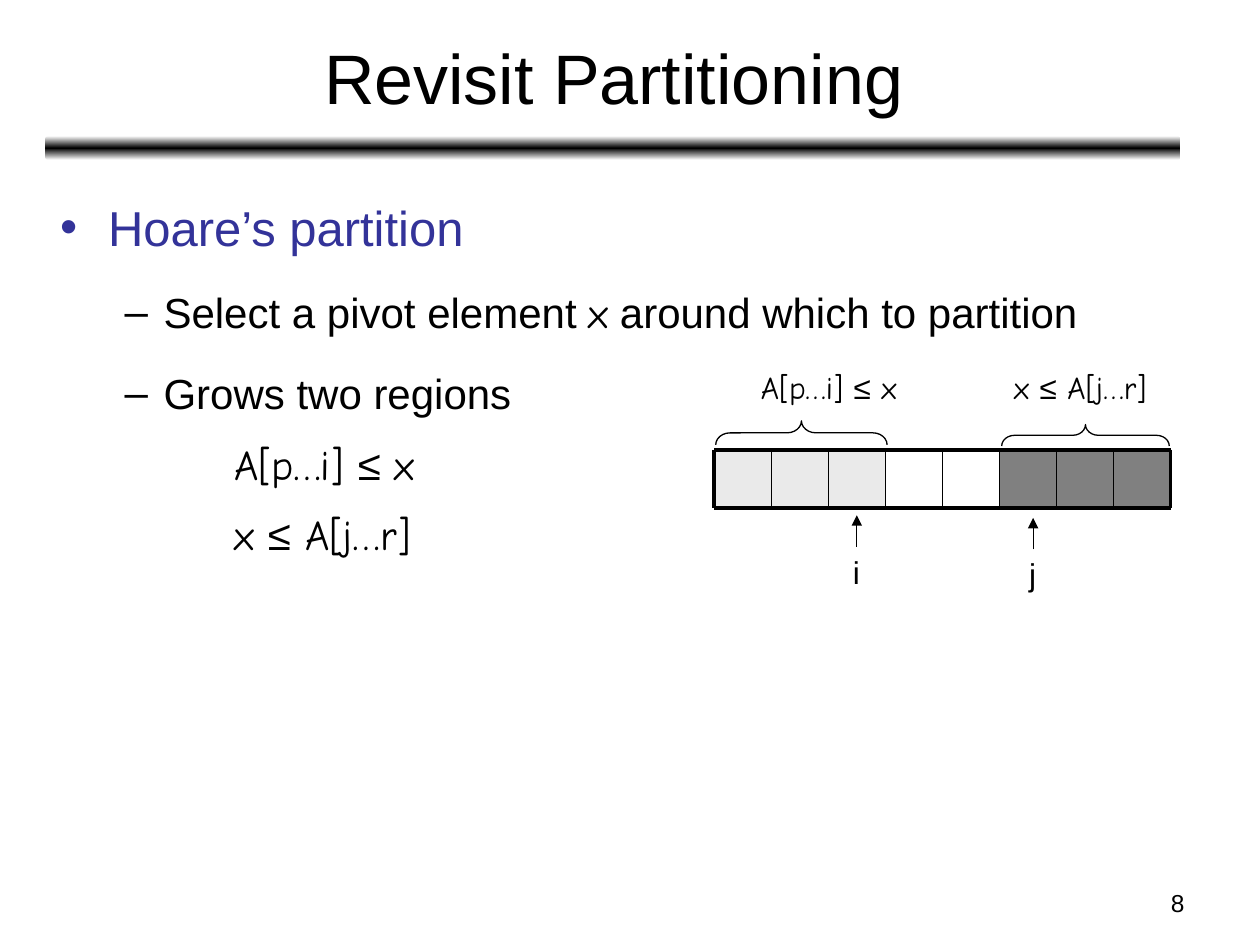
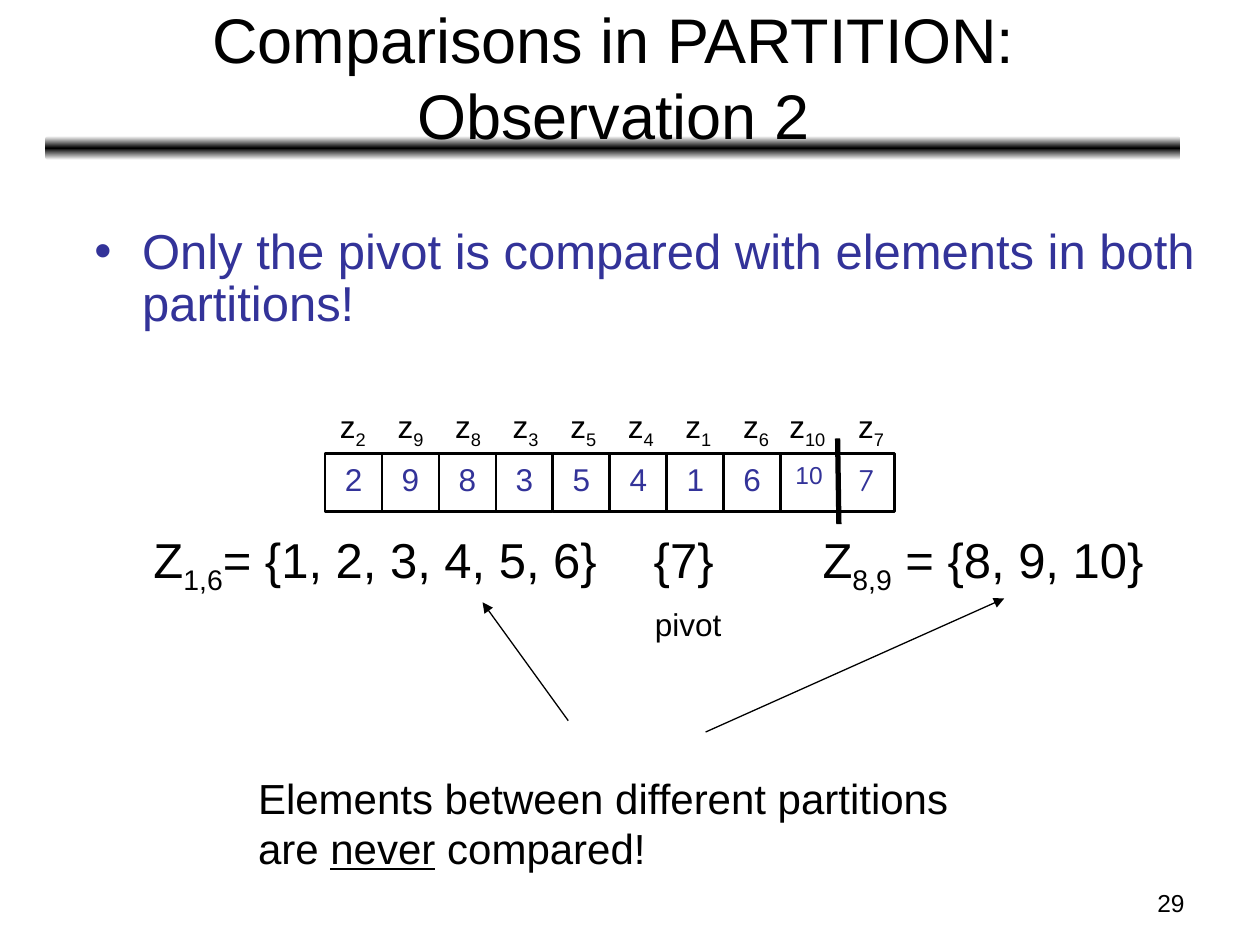
import copy

import pptx
import pptx.dml.color
import pptx.enum.shapes
import pptx.enum.text
import pptx.oxml
import pptx.oxml.ns
import pptx.util

Inches, Pt = pptx.util.Inches, pptx.util.Pt
SHAPE = pptx.enum.shapes.MSO_SHAPE
ALIGN = pptx.enum.text.PP_ALIGN
ANCHOR = pptx.enum.text.MSO_ANCHOR
FIT = pptx.enum.text.MSO_AUTO_SIZE
qn = pptx.oxml.ns.qn

COLORS = {"ink": "000000", "accent": "333399", "paper": "FFFFFF",
          "low": "EAEAEA", "high": "808080"}
SANS, HAND = "Arial", "Comic Neue"
LOW_RULE = [("A[p…i] ", {"name": HAND}), "≤", (" x", {"name": HAND})]
HIGH_RULE = [("x ", {"name": HAND}), "≤", (" A[j…r]", {"name": HAND})]


def rgb(name):
    return pptx.dml.color.RGBColor.from_string(COLORS[name])


def sub(text):
    return text, {"baseline": -25000}


def add_child(parent, tag, **attributes):
    child = parent.makeelement(qn(tag), attributes)
    parent.append(child)
    return child


def add_bullet(para, mark, color):
    properties = para._p.get_or_add_pPr()
    add_child(add_child(properties, "a:buClr"), "a:srgbClr", val=COLORS[color])
    add_child(properties, "a:buFont", typeface=SANS)
    add_child(properties, "a:buChar", char=mark)


def write_para(para, spans, size=18, color="ink", name=SANS, bullet=None,
               left=0, hanging=0, **layout):
    """Fill a paragraph; a span is a string or a (string, font values) pair."""
    properties = para._p.get_or_add_pPr()
    properties.set("marL", str(Inches(left)))
    properties.set("indent", str(Inches(-hanging)))
    if bullet:
        add_bullet(para, bullet, color)
    for key, value in layout.items():
        setattr(para, key, value)
    for item in [spans] if isinstance(spans, str) else spans:
        text, changes = (item, {}) if isinstance(item, str) else item
        values = {"size": Pt(size), "name": name, **changes}
        baseline = values.pop("baseline", None)
        span = para.add_run()
        span.text = text
        span.font.color.rgb = rgb(color)
        for key, value in values.items():
            setattr(span.font, key, value)
        if baseline:
            span._r.get_or_add_rPr().set("baseline", str(baseline))


def write_frame(frame, paras, **shared):
    """Fill a text frame from (spans, format values) pairs."""
    for number, (spans, values) in enumerate(paras):
        para = frame.paragraphs[0] if number == 0 else frame.add_paragraph()
        write_para(para, spans, **{**shared, **values})


def add_text(page, box, paras, anchor=ANCHOR.TOP, wrap=True, **shared):
    text_box = page.shapes.add_textbox(*map(Inches, box))
    frame = text_box.text_frame
    frame.word_wrap = wrap
    frame.vertical_anchor = anchor
    if not wrap:
        frame.auto_size = FIT.SHAPE_TO_FIT_TEXT
        frame.margin_right = 0
    write_frame(frame, paras, **shared)


def add_label(page, box, spans, **values):
    add_text(page, box, [(spans, {})], wrap=False, **values)


def add_shape(page, kind, box, fill=None, line=None):
    shape = page.shapes.add_shape(kind, *map(Inches, box))
    shape.shadow.inherit = False
    if fill:
        shape.fill.solid()
        shape.fill.fore_color.rgb = rgb(fill)
    else:
        shape.fill.background()
    if line:
        shape.line.color.rgb = rgb("ink")
        shape.line.width = Pt(line)
    else:
        shape.line.fill.background()
    return shape


def add_line(page, start, end, width=0.75, arrow=False):
    line = page.shapes.add_connector(
        pptx.enum.shapes.MSO_CONNECTOR.STRAIGHT, *map(Inches, (*start, *end)))
    line.line.color.rgb = rgb("ink")
    line.line.width = Pt(width)
    if arrow:
        add_child(line.line._get_or_add_ln(), "a:tailEnd", type="triangle")
    add_child(line._element.spPr, "a:effectLst")


def add_title_band(page):
    band = add_shape(page, SHAPE.ROUNDED_RECTANGLE, (0.36, 1.08, 9.01, 0.19))
    band.fill.gradient()
    band.fill.gradient_angle = 90
    stops = band._element.spPr.find(".//" + qn("a:gsLst"))
    stops.append(copy.deepcopy(stops[0]))
    places = [(0, "paper"), (0.5, "ink"), (1, "paper")]
    for stop, (position, color) in zip(band.fill.gradient_stops, places):
        stop.position = position
        stop.color.rgb = rgb(color)


def add_page(deck, title_lines, title_size, number):
    """Add a page with the shared band, page number and title."""
    page = deck.slides.add_slide(deck.slide_layouts[6])
    add_title_band(page)
    add_text(page, (7.17, 7, 2.33, 0.35), [(number, {})], size=14,
             alignment=ALIGN.RIGHT)
    add_text(page, (0.37, 0.11, 9, 0.99), [(line, {}) for line in title_lines],
             anchor=ANCHOR.MIDDLE, size=title_size, alignment=ALIGN.CENTER)
    return page


def add_region_array(page, box):
    """Draw eight cells: three low, two unseen, three high."""
    left, top, width, height = box
    fills = ["low"] * 3 + [None] * 2 + ["high"] * 3
    count = len(fills)
    step = width / count
    for index, fill in enumerate(fills):
        if fill:
            add_shape(page, SHAPE.RECTANGLE,
                      (left + index * step, top, step, height), fill)
    for y in (top, top + height):
        add_line(page, (left, y), (left + width, y), 2.25)
    for index in range(count + 1):
        x = left + index * step
        add_line(page, (x, top), (x, top + height),
                 2.25 if index in (0, count) else 1)


def add_top_brace(page, box):
    """Draw a brace pointing up that fills the box."""
    left, top, width, height = box
    brace = add_shape(page, SHAPE.LEFT_BRACE,
                      (left + (width - height) / 2, top + (height - width) / 2,
                       height, width), line=0.75)
    brace.rotation = 90
    brace.adjustments[0] = 0.6


def add_index_marker(page, name, x, top):
    add_label(page, (x - 0.13, top + 0.25, 0.25, 0.4), name)
    add_line(page, (x, top + 0.25), (x, top), arrow=True)


def build_partitioning(deck):
    page = add_page(deck, ["Revisit Partitioning"], 40, "8")
    dash = {"size": 24, "bullet": "–", "left": 0.82, "hanging": 0.31,
            "space_before": Pt(6)}
    formula = {"size": 24, "left": 1.38}
    add_text(page, (0.38, 1.33, 9, 5.55), [
        ("Hoare’s partition", {"size": 28, "color": "accent", "bullet": "•",
                               "left": 0.38, "hanging": 0.38}),
        (["Select a pivot element ", ("x", {"name": HAND}),
          " around which to partition"], dash),
        ("Grows two regions", dash),
        (LOW_RULE, formula),
        (HIGH_RULE, formula),
    ], line_spacing=1.4)
    add_region_array(page, (5.67, 3.57, 3.62, 0.46))
    add_top_brace(page, (5.68, 3.34, 1.36, 0.19))
    add_top_brace(page, (7.95, 3.37, 1.33, 0.17))
    add_label(page, (5.94, 2.87, 1.43, 0.4), LOW_RULE)
    add_label(page, (7.95, 2.87, 1.31, 0.4), HIGH_RULE)
    add_index_marker(page, "i", 6.8, 4.09)
    add_index_marker(page, "j", 8.2, 4.11)


def add_number_array(page, box, values):
    """Draw the values in cells, each under its z label, the pivot last."""
    left, top, width, height = box
    step = width / len(values)
    for index, value in enumerate(values):
        wide = len(value) > 1
        label_left = left + 0.02 + index * 0.457 - (0.09 if wide else 0)
        add_label(page, (label_left, top - 0.42, 0.48 if wide else 0.4, 0.44),
                  ["z", sub(value)])
        cell = add_shape(page, SHAPE.RECTANGLE,
                         (left + index * step, top, step, height), line=1.5)
        cell.text_frame.vertical_anchor = ANCHOR.TOP
        write_frame(cell.text_frame, [(value, {})], color="accent",
                    size=14 if wide else 18, alignment=ALIGN.CENTER,
                    name=HAND if value == values[-1] else SANS)
    middle_left = left + 7 * step
    add_line(page, (middle_left, top), (middle_left, top + height), 1.5)
    pivot_left = left + width - step
    add_line(page, (pivot_left, top - 0.12), (pivot_left + 0.01, top + height + 0.1), 3)


def build_observation(deck):
    page = add_page(deck, ["Comparisons in PARTITION:", "Observation 2"], 36, "29")
    add_text(page, (0.65, 1.75, 9, 1.01), [
        ("Only the pivot is compared with elements in both partitions!", {}),
    ], size=28, color="accent", bullet="•", left=0.38, hanging=0.38,
        line_spacing=0.9)
    add_number_array(page, (2.58, 3.6, 4.52, 0.46),
                     ["2", "9", "8", "3", "5", "4", "1", "6", "10", "7"])
    for left, width, spans in [
            (1.12, 4.26, ["Z", sub("1,6"), "= {1, 2, 3, 4, 5, 6}"]),
            (5.09, 0.67, "{7}"),
            (6.43, 2.74, ["Z", sub("8,9"), " = {8, 9, 10}"])]:
        add_label(page, (left, 4.15, width, 0.63), spans, size=28)
    add_label(page, (5.1, 4.75, 0.73, 0.4), "pivot")
    add_text(page, (1.95, 6.08, 5.77, 0.9), [
        ("Elements between different partitions", {}),
        (["are ", ("never", {"underline": True}), " compared!"], {}),
    ], wrap=False, size=24)
    add_line(page, (4.51, 5.72), (3.83, 4.78), arrow=True)
    add_line(page, (5.6, 5.81), (7.97, 4.75), arrow=True)


def main():
    deck = pptx.Presentation()
    deck.slide_width, deck.slide_height = Inches(10), Inches(7.5)
    build_partitioning(deck)
    build_observation(deck)
    deck.save("out.pptx")


if __name__ == "__main__":
    main()
